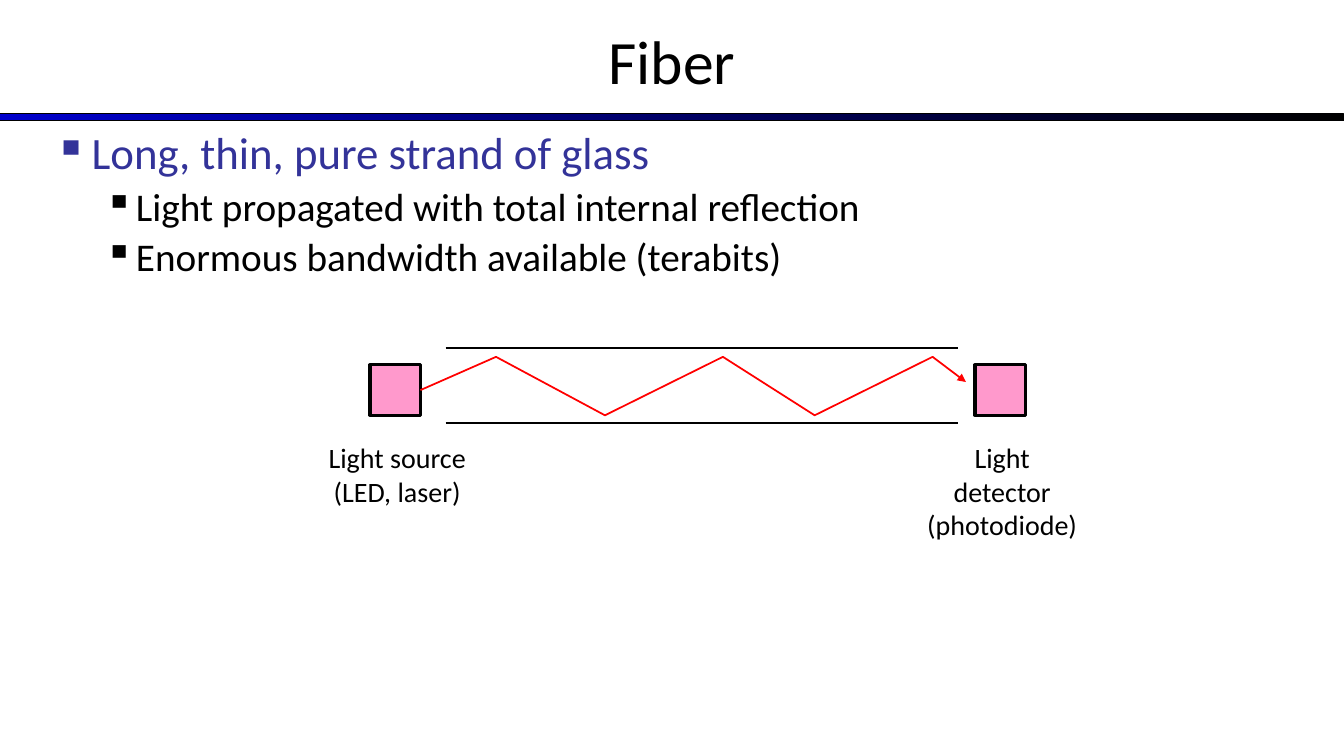
import pptx
import pptx.dml.color
import pptx.enum.shapes
import pptx.enum.text
import pptx.oxml.ns
import pptx.util
from lxml import etree

Inches = pptx.util.Inches
Pt = pptx.util.Pt
MSO_SHAPE = pptx.enum.shapes.MSO_SHAPE
MSO_ANCHOR = pptx.enum.text.MSO_ANCHOR
PP_ALIGN = pptx.enum.text.PP_ALIGN

BLACK, INDIGO, BLUE, PINK, RED = "000000", "333399", "0000CC", "FF99CC", "FF0000"
CENTERED = {"alignment": PP_ALIGN.CENTER}
BULLET_LEVELS = [
    {"size": 32, "color": INDIGO, "margin": 0.37, "hanging": 0.37},
    {"size": 28, "color": BLACK, "margin": 0.81, "hanging": 0.31},
]


def rgb(hex_color):
    """Turn a hex string into a colour."""
    return pptx.dml.color.RGBColor.from_string(hex_color)


def apply(target, values):
    """Set each named attribute on the target."""
    for name, value in values.items():
        setattr(target, name, value)


def add_child(parent, tag, **attributes):
    """Append a DrawingML element to the parent."""
    return etree.SubElement(parent, pptx.oxml.ns.qn(tag), attributes)


def outline(shape, color, width):
    """Give a shape or connector a solid line."""
    shape.line.color.rgb = rgb(color)
    shape.line.width = Pt(width)


def add_block(slide, box, frame_format):
    """Add a text box and return its text frame."""
    frame = slide.shapes.add_textbox(*map(Inches, box)).text_frame
    apply(frame, frame_format)
    return frame


def write_lines(frame, lines, paragraph_format, size, color):
    """Append lines of text that share one format, and return their paragraphs."""
    written = []
    for line in lines:
        paragraph = frame.paragraphs[0] if not frame.text else frame.add_paragraph()
        run = paragraph.add_run()
        run.text = line
        apply(paragraph, paragraph_format)
        apply(run.font, {"name": "Calibri", "size": Pt(size)})
        run.font.color.rgb = rgb(color)
        written.append(paragraph)
    return written


def add_header(slide, left, top, width, height):
    """Place the title with the gradient rule near its foot."""
    rule = slide.shapes.add_shape(
        MSO_SHAPE.RECTANGLE,
        *map(Inches, (left, top + height - 0.09, width, 0.07)))
    rule.shadow.inherit = False
    rule.fill.gradient()
    rule.fill.gradient_angle = 0
    for stop, position, color in zip(rule.fill.gradient_stops, (0, 1), (BLUE, BLACK)):
        stop.position = position
        stop.color.rgb = rgb(color)
    outline(rule, BLACK, 0.75)
    title = add_block(slide, (left, top, width, height),
                      {"word_wrap": True, "vertical_anchor": MSO_ANCHOR.MIDDLE})
    write_lines(title, ["Fiber"], CENTERED, 44, BLACK)


def add_bullets(slide, left, top, width, height):
    """Place the bulleted points on their levels."""
    points = add_block(slide, (left, top, width, height), {"word_wrap": True})
    for level, lines in enumerate([
        ["Long, thin, pure strand of glass"],
        ["Light propagated with total internal reflection",
         "Enormous bandwidth available (terabits)"],
    ]):
        style = BULLET_LEVELS[level]
        spacing = {"level": level, "line_spacing": 0.9,
                   "space_before": Pt(0.2 * style["size"])}
        for point in write_lines(points, lines, spacing, style["size"], style["color"]):
            properties = point._p.get_or_add_pPr()
            properties.set("marL", str(Inches(style["margin"])))
            properties.set("indent", str(-Inches(style["hanging"])))
            add_child(properties, "a:buChar", char="▪")


def add_device(slide, left, top, side, label):
    """Place a light device with its label centred below."""
    device = slide.shapes.add_shape(
        MSO_SHAPE.RECTANGLE, *map(Inches, (left, top, side, side)))
    device.shadow.inherit = False
    device.fill.solid()
    device.fill.fore_color.rgb = rgb(PINK)
    outline(device, BLACK, 2.25)
    label_width = 1.76
    caption = add_block(
        slide, (left + (side - label_width) / 2 + 0.02, top + 0.7, label_width, 0.76),
        {"word_wrap": False})
    write_lines(caption, label, CENTERED, 20, BLACK)


def add_fiber_diagram(slide, left, top, width, height):
    """Place the devices, the fiber walls and the light ray between them."""
    side = 0.5
    for device_left, label in [
        (left, ["Light source", "(LED, laser)"]),
        (left + width - side, ["Light detector", "(photodiode)"]),
    ]:
        add_device(slide, device_left, top + 0.17, side, label)

    for wall_y in (top, top + height):
        wall = slide.shapes.add_connector(
            pptx.enum.shapes.MSO_CONNECTOR.STRAIGHT,
            *map(Inches, (left + 0.75, wall_y, left + width - 0.67, wall_y)))
        outline(wall, BLACK, 1.5)
        add_child(wall._element.spPr, "a:effectLst")

    crest, trough = top + 0.09, top + height - 0.08
    bounces = [(0.5, top + 0.42), (1.25, crest), (2.33, trough), (3.5, crest),
               (4.41, trough), (5.58, crest), (5.91, top + 0.34)]
    route = [(Inches(left + x), Inches(y)) for x, y in bounces]
    builder = slide.shapes.build_freeform(*route[0])
    builder.add_line_segments(route[1:], close=False)
    ray = builder.convert_to_shape()
    ray.shadow.inherit = False
    ray.fill.background()
    outline(ray, RED, 1.25)
    add_child(ray.line._get_or_add_ln(), "a:tailEnd", type="triangle")


def main():
    """Build the slide and save it."""
    deck = pptx.Presentation()
    apply(deck, {"slide_width": Inches(13.33), "slide_height": Inches(7.5)})
    slide = deck.slides.add_slide(deck.slide_layouts[6])
    add_header(slide, 0, -0.03, 13.33, 1.25)
    add_bullets(slide, 0.44, 1.25, 12.39, 5.64)
    add_fiber_diagram(slide, 3.67, 3.45, 6.5, 0.75)
    deck.save("out.pptx")


if __name__ == "__main__":
    main()
